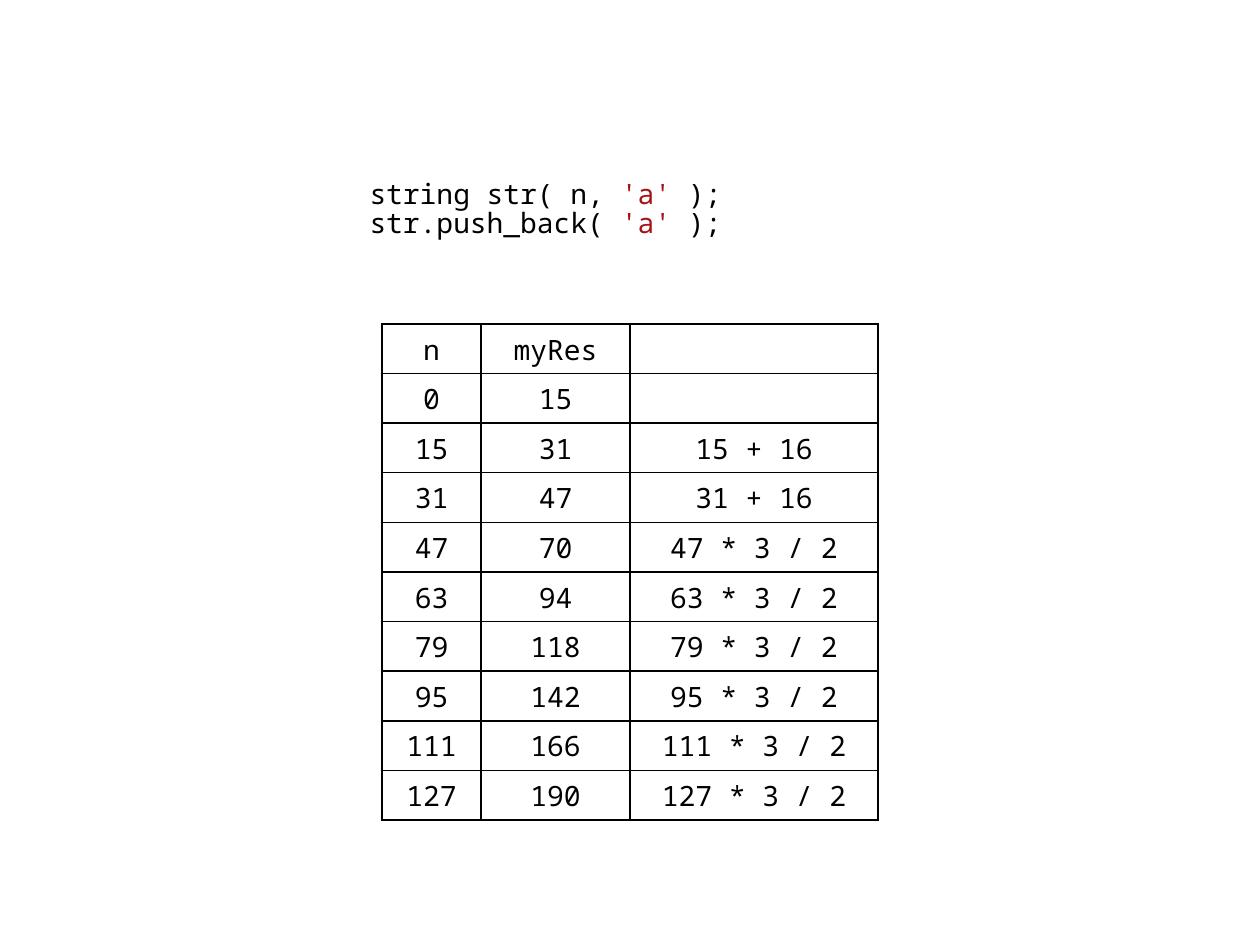
"""Build a slide on string capacity growth: a code sample above a table."""
import pptx
import pptx.dml.color
import pptx.enum.text
import pptx.oxml.ns
import pptx.util
from lxml import etree

Cm, Pt = pptx.util.Cm, pptx.util.Pt
ANCHOR, ALIGN = pptx.enum.text.MSO_ANCHOR, pptx.enum.text.PP_ALIGN
FONT, BLACK, RED = "Noto Sans Mono", "000000", "A31515"

CODE = [
    [("string str( n, ", BLACK), ("'a' ", RED), (");", BLACK)],
    [("str.push_back( ", BLACK), ("'a' ", RED), (");", BLACK)],
]
ROWS = [
    ("n", "myRes", ""),
    ("0", "15", ""),
    ("15", "31", "15 + 16"),
    ("31", "47", "31 + 16"),
    ("47", "70", "47 * 3 / 2"),
    ("63", "94", "63 * 3 / 2"),
    ("79", "118", "79 * 3 / 2"),
    ("95", "142", "95 * 3 / 2"),
    ("111", "166", "111 * 3 / 2"),
    ("127", "190", "127 * 3 / 2"),
]
COL_WIDTHS = (2, 3, 5)
ROW_HEIGHT = 1


def rgb(color):
    return pptx.dml.color.RGBColor.from_string(color)


def add_text(p, text, color=BLACK, size=16, align=ALIGN.LEFT, spacing=None):
    p.alignment = align
    p.line_spacing = spacing
    p.font.size = Pt(size)
    if text:
        r = p.add_run()
        r.text = text
        r.font.name = FONT
        r.font.size = Pt(size)
        r.font.color.rgb = rgb(color)


def add_borders(cell, color=BLACK, width=1):
    qn = pptx.oxml.ns.qn
    tcPr = cell._tc.get_or_add_tcPr()
    for i, side in enumerate(("a:lnL", "a:lnR", "a:lnT", "a:lnB")):
        ln = etree.Element(qn(side), w=str(Pt(width)))
        fill = etree.SubElement(ln, qn("a:solidFill"))
        etree.SubElement(fill, qn("a:srgbClr"), val=color)
        tcPr.insert(i, ln)


def add_code(s):
    tf = s.shapes.add_textbox(Cm(7.2), Cm(3.53), Cm(11), Cm(2)).text_frame
    tf.word_wrap = True
    for i, line in enumerate(CODE):
        p = tf.add_paragraph() if i else tf.paragraphs[0]
        for text, color in line:
            add_text(p, text, color=color, spacing=0.87)


def add_growth_table(s):
    width, height = sum(COL_WIDTHS), ROW_HEIGHT * len(ROWS)
    table = s.shapes.add_table(len(ROWS), len(COL_WIDTHS), Cm(7.7), Cm(6.53),
                               Cm(width), Cm(height)).table
    table.first_row = table.horz_banding = False
    for col, w in zip(table.columns, COL_WIDTHS):
        col.width = Cm(w)
    for i, row in enumerate(ROWS):
        table.rows[i].height = Cm(ROW_HEIGHT)
        for j, text in enumerate(row):
            cell = table.cell(i, j)
            cell.fill.background()
            cell.vertical_anchor = ANCHOR.BOTTOM if i else ANCHOR.MIDDLE
            add_borders(cell)
            add_text(cell.text_frame.paragraphs[0], text, align=ALIGN.CENTER)


def main():
    prs = pptx.Presentation()
    prs.slide_width, prs.slide_height = Cm(25.4), Cm(19.05)
    s = prs.slides.add_slide(prs.slide_layouts[6])
    add_code(s)
    add_growth_table(s)
    prs.save("out.pptx")


if __name__ == "__main__":
    main()
